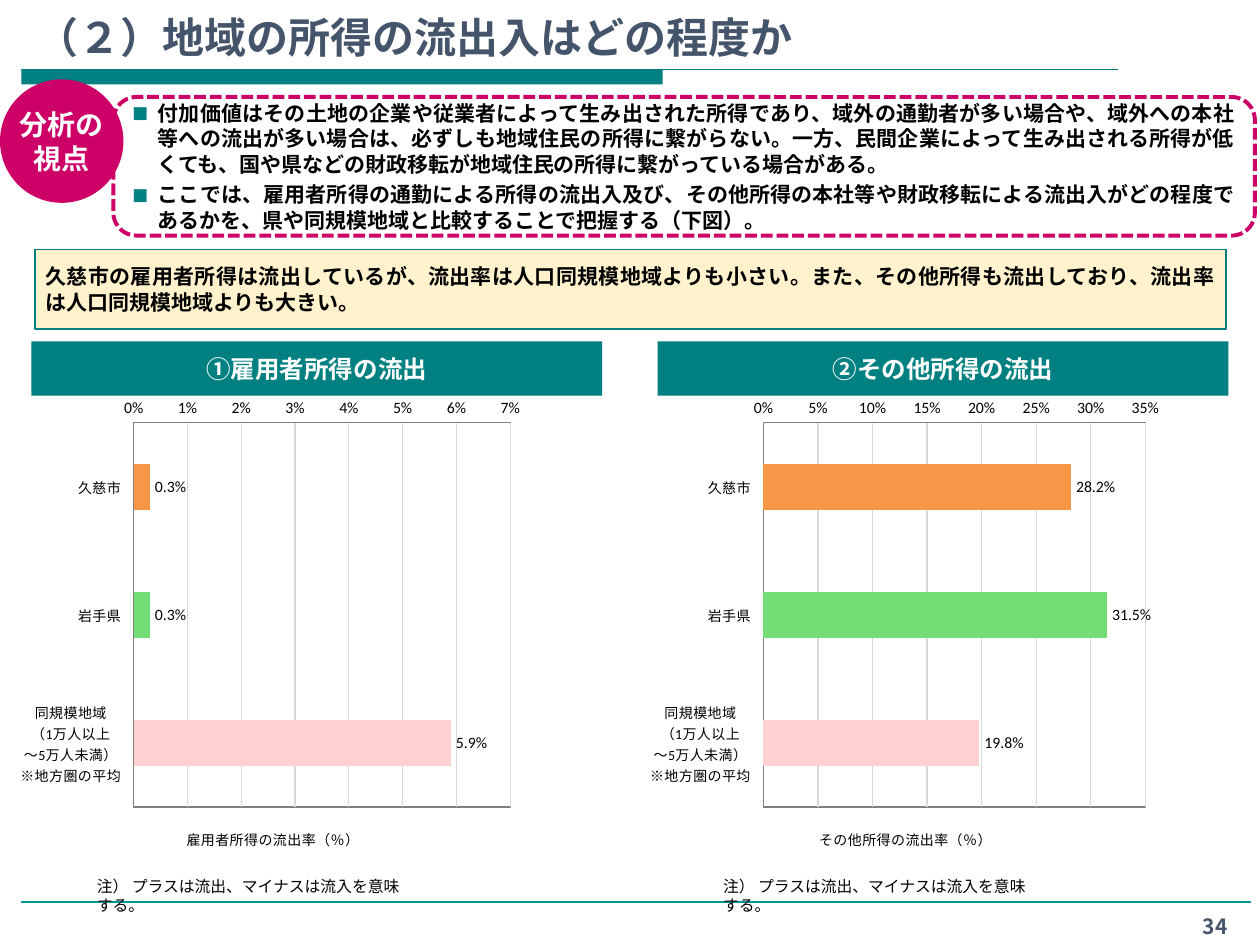
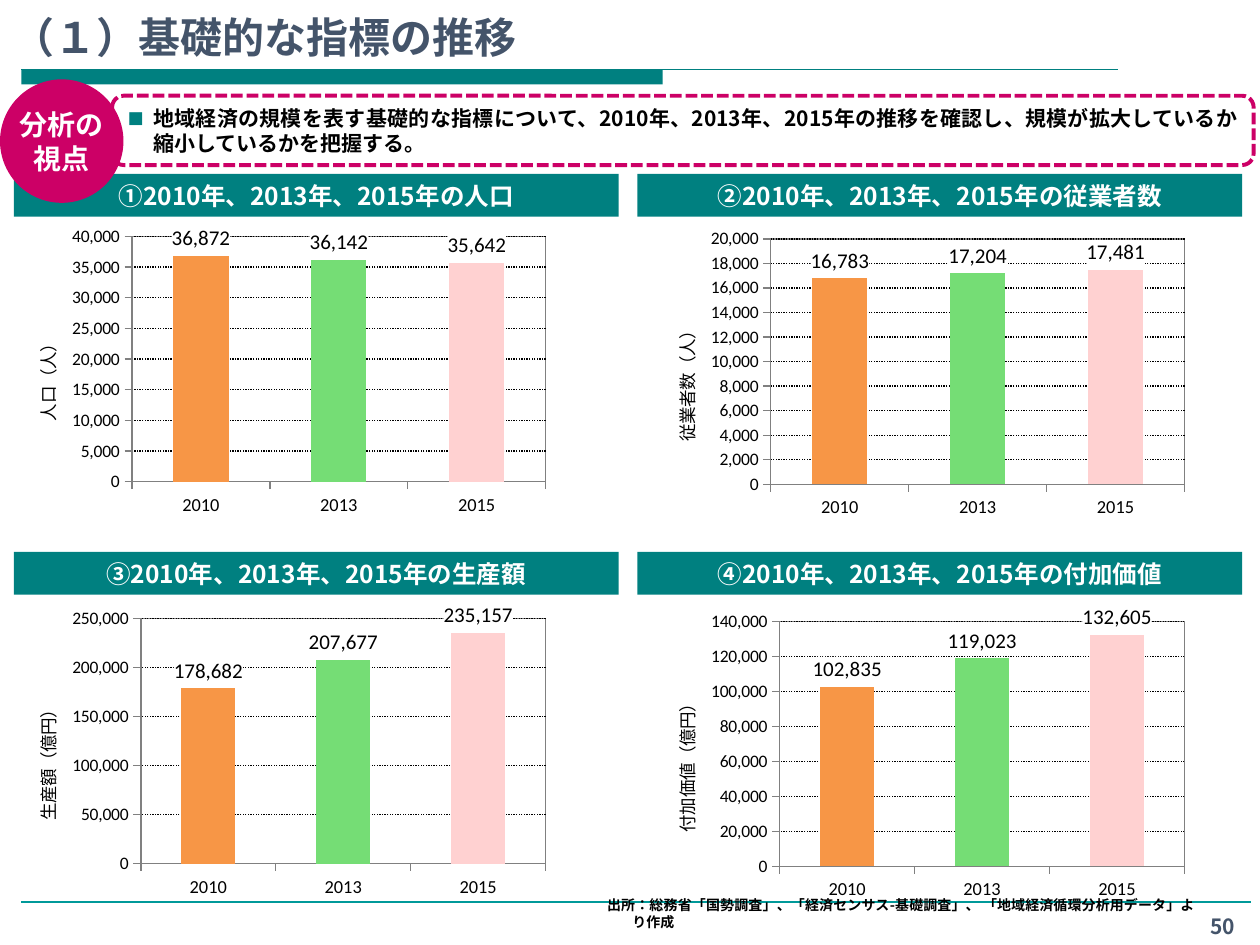
from pptx import Presentation
from pptx.chart.data import CategoryChartData
from pptx.dml.color import RGBColor
from pptx.enum.chart import (XL_CHART_TYPE as ChartType, XL_LABEL_POSITION as LabelPosition,
                             XL_TICK_LABEL_POSITION as TickLabels, XL_TICK_MARK as TickMark)
from pptx.enum.dml import MSO_LINE as Dash
from pptx.enum.lang import MSO_LANGUAGE_ID as Language
from pptx.enum.shapes import MSO_CONNECTOR as Connector, MSO_SHAPE as Shape
from pptx.enum.text import MSO_ANCHOR as Anchor, PP_ALIGN as Align
from pptx.oxml import parse_xml
from pptx.oxml.ns import nsdecls, qn
from pptx.util import Inches, Pt

JAPANESE_FONT = "Noto Sans CJK JP"
CHART_FONT = "Calibri"
TEAL, RULE, MAGENTA, CREAM = "008080", "009999", "CC0066", "FFF2CC"
SLATE, BLACK, WHITE, GRAY, PALE = "44546A", "000000", "FFFFFF", "808080", "D9D9D9"
BAR_COLORS = ["F79646", "75DD75", "FFD1D1"]
LINE_HEIGHT = 1.21

REGIONS = ["久慈市", "岩手県", "同規模地域\n（1万人以上\n～5万人未満）\n※地方圏の平均"]
YEARS = ["2010", "2013", "2015"]


def rgb(color):
    return RGBColor.from_string(color)


def inches(*lengths):
    return [Inches(length) for length in lengths]


def set_fill(item, color):
    if color:
        item.fill.solid()
        item.fill.fore_color.rgb = rgb(color)
    else:
        item.fill.background()


def set_line(line, color, width=0.75, dash=None):
    if not color:
        line.fill.background()
        return
    line.color.rgb = rgb(color)
    line.width = Pt(width)
    if dash:
        line.dash_style = dash


def style_font(font, size, color=BLACK, bold=False, name=CHART_FONT):
    font.name = name
    font.size = Pt(size)
    font.bold = bold
    font.color.rgb = rgb(color)


def add_run(paragraph, text, size, color, bold):
    run = paragraph.add_run()
    run.text = text
    style_font(run.font, size, color, bold, JAPANESE_FONT)
    run.font.language_id = Language.JAPANESE
    latin = run.font._element.find(qn("a:latin"))
    latin.addnext(parse_xml(f'<a:ea {nsdecls("a")} typeface="{JAPANESE_FONT}"/>'))


def set_hanging(paragraph, bullet):
    """Indent all lines but the first, with an optional teal square in the gap."""
    properties = paragraph._p.get_or_add_pPr()
    properties.set("marL", str(Inches(0.2)))
    properties.set("indent", str(-Inches(0.2)))
    if bullet:
        for xml in (f'<a:buClr {nsdecls("a")}><a:srgbClr val="{TEAL}"/></a:buClr>',
                    f'<a:buSzPct {nsdecls("a")} val="80000"/>',
                    f'<a:buFont {nsdecls("a")} typeface="{CHART_FONT}"/>',
                    f'<a:buChar {nsdecls("a")} char="■"/>'):
            properties.append(parse_xml(xml))


def write(shape, paragraphs, size, color=BLACK, bold=True, align=Align.LEFT,
          anchor=Anchor.MIDDLE, hanging=False, bullet=False, side_inset=0.1):
    frame = shape.text_frame
    frame.word_wrap = True
    frame.vertical_anchor = anchor
    frame.margin_left = frame.margin_right = Inches(side_inset)
    for index, text in enumerate(paragraphs):
        paragraph = frame.add_paragraph() if index else frame.paragraphs[0]
        paragraph.alignment = align
        paragraph.line_spacing = Pt(size * LINE_HEIGHT)
        if index:
            paragraph.space_before = Pt(3)
        if hanging:
            set_hanging(paragraph, bullet)
        for number, line in enumerate(text.split("\n")):
            if number:
                paragraph.add_line_break()
            add_run(paragraph, line, size, color, bold)


def add_text(slide, box, text, size, **style):
    write(slide.shapes.add_textbox(*inches(*box)), [text], size, **style)


def add_box(slide, kind, box, fill=None, line=None, width=1, dash=None):
    shape = slide.shapes.add_shape(kind, *inches(*box))
    shape.shadow.inherit = False
    set_fill(shape, fill)
    set_line(shape.line, line, width, dash)
    return shape


def add_rule(slide, left, right, top, color):
    rule = slide.shapes.add_connector(Connector.STRAIGHT, *inches(left, top, right, top))
    set_line(rule.line, color)
    rule._element.spPr.append(parse_xml(f'<a:effectLst {nsdecls("a")}/>'))


def add_base(presentation):
    """Add a blank slide with the title band and the footer rule."""
    slide = presentation.slides.add_slide(presentation.slide_layouts[6])
    add_box(slide, Shape.RECTANGLE, (0.17, 0.55, 5.09, 0.12), TEAL)
    add_rule(slide, 0.17, 8.87, 0.55, TEAL)
    add_rule(slide, 0.17, 9.93, 7.16, RULE)
    return slide


def add_title(slide, left, text):
    add_text(slide, (left, 0, 9.06, 0.54), text, 24, color=SLATE, anchor=Anchor.BOTTOM)


def add_page_number(slide, left, number):
    add_text(slide, (left, 7.2, 10 - left, 0.28), number, 12, color=SLATE,
             align=Align.CENTER, anchor=Anchor.TOP)


def add_viewpoint(slide, box, points):
    """Add the dashed frame of bullet points and its round badge."""
    frame = add_box(slide, Shape.ROUNDED_RECTANGLE, box, line=MAGENTA, width=2.25,
                    dash=Dash.SQUARE_DOT)
    write(frame, points, 12, align=Align.JUSTIFY, hanging=True, bullet=True)
    badge = add_box(slide, Shape.OVAL, (0, 0.63, 0.98, 0.98), MAGENTA)
    write(badge, ["分析の\n視点"], 16, WHITE, align=Align.CENTER, side_inset=0.04)
    badge.text_frame.word_wrap = False


def add_heading(slide, box, text):
    write(add_box(slide, Shape.RECTANGLE, box, TEAL), [text], 14, WHITE, align=Align.CENTER)


def place(element, position, left, top, width=None, height=None):
    """Set a chart part's place as fractions of the chart."""
    sizes = {"x": left, "y": top, "w": width, "h": height}
    target = '<c:layoutTarget val="inner"/>' if width else ""
    modes = '<c:xMode val="edge"/><c:yMode val="edge"/>'
    values = "".join(f'<c:{key} val="{size:.3f}"/>' for key, size in sizes.items() if size)
    layout = element.find(qn("c:layout"))
    if layout is not None:
        element.remove(layout)
    element.insert(position, parse_xml(
        f'<c:layout {nsdecls("c")}><c:manualLayout>{target}{modes}{values}'
        "</c:manualLayout></c:layout>"))


def add_chart(slide, kind, box, categories, values, gap, plot_box, label_format, label_size):
    data = CategoryChartData()
    data.categories = categories
    data.add_series("Series 1", values)
    chart = slide.shapes.add_chart(kind, *inches(*box), data).chart
    style_font(chart.font, 10)
    chart.has_legend = chart.has_title = False
    area = chart._chartSpace.chart.plotArea
    place(area, 0, *plot_box)
    area.append(parse_xml(
        f'<c:spPr {nsdecls("c", "a")}><a:noFill/><a:ln w="9525"><a:solidFill>'
        f'<a:srgbClr val="{GRAY}"/></a:solidFill></a:ln></c:spPr>'))
    plot = chart.plots[0]
    plot.vary_by_categories = False
    plot.gap_width = gap
    for index, color in enumerate(BAR_COLORS):
        set_fill(plot.series[0].points[index].format, color)
    plot.has_data_labels = True
    labels = plot.data_labels
    labels.show_value = True
    labels.position = LabelPosition.OUTSIDE_END
    labels.number_format = label_format
    labels.number_format_is_linked = False
    style_font(labels.font, label_size)
    return chart


def style_axis(axis, size, tick, line):
    axis.major_tick_mark = tick
    axis.minor_tick_mark = TickMark.NONE
    style_font(axis.tick_labels.font, size)
    set_line(axis.format.line, line)


def style_value_axis(axis, title, title_size, title_place, maximum, step, number_format,
                     grid, dash=None, rotation=0):
    axis.minimum_scale, axis.maximum_scale, axis.major_unit = 0, maximum, step
    axis.tick_labels.number_format = number_format
    axis.tick_labels.number_format_is_linked = False
    axis.has_major_gridlines = True
    set_line(axis.major_gridlines.format.line, grid, dash=dash)
    run = axis.axis_title.text_frame.paragraphs[0].add_run()
    run.text = title
    style_font(run.font, title_size)
    element = axis.axis_title._element
    element.find(".//" + qn("a:bodyPr")).set("rot", str(rotation * 60000))
    place(element, 1, *title_place)


def add_rate_chart(slide, left, width, title, rates, maximum, step):
    """Add horizontal bars with the percent scale on top."""
    chart = add_chart(slide, ChartType.BAR_CLUSTERED, (left, 3.09, width, 3.79), REGIONS, rates,
                      182, (0.99 / width, 0.07, 0.72, 0.805), "0.0%", 9)
    style_axis(chart.category_axis, 8, TickMark.NONE, GRAY)
    chart.category_axis.reverse_order = True
    chart.category_axis.tick_label_position = TickLabels.LOW
    style_axis(chart.value_axis, 9, TickMark.NONE, None)
    style_value_axis(chart.value_axis, title, 8, (0.335, 0.91), maximum, step, "0%", PALE)


def add_trend_chart(slide, left, top, plot_left, title, values, maximum, step):
    """Add columns by year with a turned axis title."""
    chart = add_chart(slide, ChartType.COLUMN_CLUSTERED, (left, top, 4.42, 2.39), YEARS, values,
                      150, (plot_left, 0.053, 0.98 - plot_left, 0.815), "#,##0", 12)
    labels = chart.plots[0].data_labels._element
    labels.find(qn("c:numFmt")).addnext(parse_xml(
        f'<c:spPr {nsdecls("c", "a")}><a:solidFill><a:srgbClr val="{WHITE}"/>'
        "</a:solidFill></c:spPr>"))
    style_axis(chart.category_axis, 10.5, TickMark.OUTSIDE, GRAY)
    style_axis(chart.value_axis, 10, TickMark.OUTSIDE, GRAY)
    title_top = 0.51 - 0.0275 * len(title)
    style_value_axis(chart.value_axis, title, 10, (0.055, title_top), maximum, step, "#,##0",
                     BLACK, Dash.ROUND_DOT, -90)


def build_income_slide(presentation):
    slide = add_base(presentation)
    add_rate_chart(slide, 5.07, 4.21, "その他所得の流出率（％）", [0.282, 0.315, 0.198], 0.35, 0.05)
    add_rate_chart(slide, 0.07, 4.15, "雇用者所得の流出率（％）", [0.003, 0.003, 0.059], 0.07, 0.01)
    add_title(slide, 0.19, "（２）地域の所得の流出入はどの程度か")
    add_page_number(slide, 9.29, "34")
    finding = add_box(slide, Shape.RECTANGLE, (0.28, 1.98, 9.45, 0.63), CREAM, TEAL)
    write(finding, ["久慈市の雇用者所得は流出しているが、流出率は人口同規模地域よりも小さい。"
                    "また、その他所得も流出しており、流出率は人口同規模地域よりも大きい。"],
          12, align=Align.JUSTIFY, side_inset=0.08)
    add_viewpoint(slide, (0.9, 0.77, 9.06, 1.1), [
        "付加価値はその土地の企業や従業者によって生み出された所得であり、域外の通勤者が多い場合や、"
        "域外への本社等への流出が多い場合は、必ずしも地域住民の所得に繋がらない。一方、民間企業によって"
        "生み出される所得が低くても、国や県などの財政移転が地域住民の所得に繋がっている場合がある。",
        "ここでは、雇用者所得の通勤による所得の流出入及び、その他所得の本社等や財政移転による流出入が"
        "どの程度であるかを、県や同規模地域と比較することで把握する（下図）。"])
    for left, heading in ((0.25, "①雇用者所得の流出"), (5.22, "②その他所得の流出")):
        add_heading(slide, (left, 2.71, 4.53, 0.43), heading)
        add_text(slide, (left + 0.42, 6.91, 2.68, 0.25),
                 "注） プラスは流出、マイナスは流入を意味する。", 9, bold=False, anchor=Anchor.TOP)


def build_indicator_slide(presentation):
    slide = add_base(presentation)
    indicators = [
        ("①", "人口", "人", 0.237, [36872, 36142, 35642], 40000, 5000),
        ("②", "従業者数", "人", 0.237, [16783, 17204, 17481], 20000, 2000),
        ("③", "生産額", "億円", 0.253, [178682, 207677, 235157], 250000, 50000),
        ("④", "付加価値", "億円", 0.253, [102835, 119023, 132605], 140000, 20000)]
    for index, (mark, name, unit, plot_left, values, maximum, step) in enumerate(indicators):
        row, column = divmod(index, 2)
        add_trend_chart(slide, 5.07 * column, 1.75 + 3.03 * row + 0.02 * column, plot_left,
                        f"{name}（{unit}）", values, maximum, step)
        add_heading(slide, (0.11 + 4.95 * column, 1.38 + 3 * row, 4.8, 0.34),
                    f"{mark}2010年、2013年、2015年の{name}")
    add_title(slide, 0, "（１）基礎的な指標の推移")
    add_page_number(slide, 9.41, "50")
    add_viewpoint(slide, (0.89, 0.76, 9.06, 0.55), [
        "地域経済の規模を表す基礎的な指標について、2010年、2013年、2015年の推移を確認し、"
        "規模が拡大しているか縮小しているかを把握する。"])
    add_text(slide, (4.72, 7.19, 4.86, 0.24),
             "出所：総務省「国勢調査」、「経済センサス-基礎調査」、 「地域経済循環分析用データ」より作成",
             8, align=Align.JUSTIFY, anchor=Anchor.BOTTOM, hanging=True)


def main():
    presentation = Presentation()
    presentation.slide_width, presentation.slide_height = inches(10, 7.5)
    build_income_slide(presentation)
    build_indicator_slide(presentation)
    presentation.save("out.pptx")


if __name__ == "__main__":
    main()
